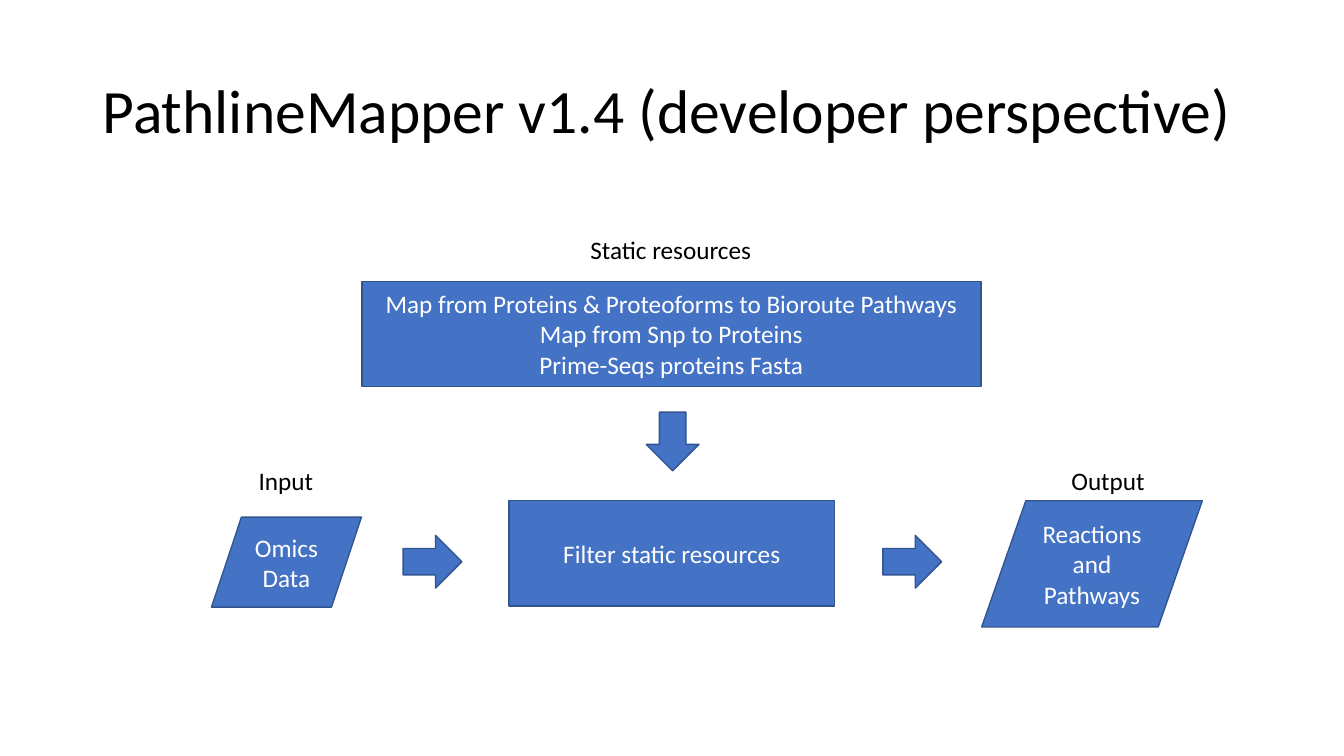
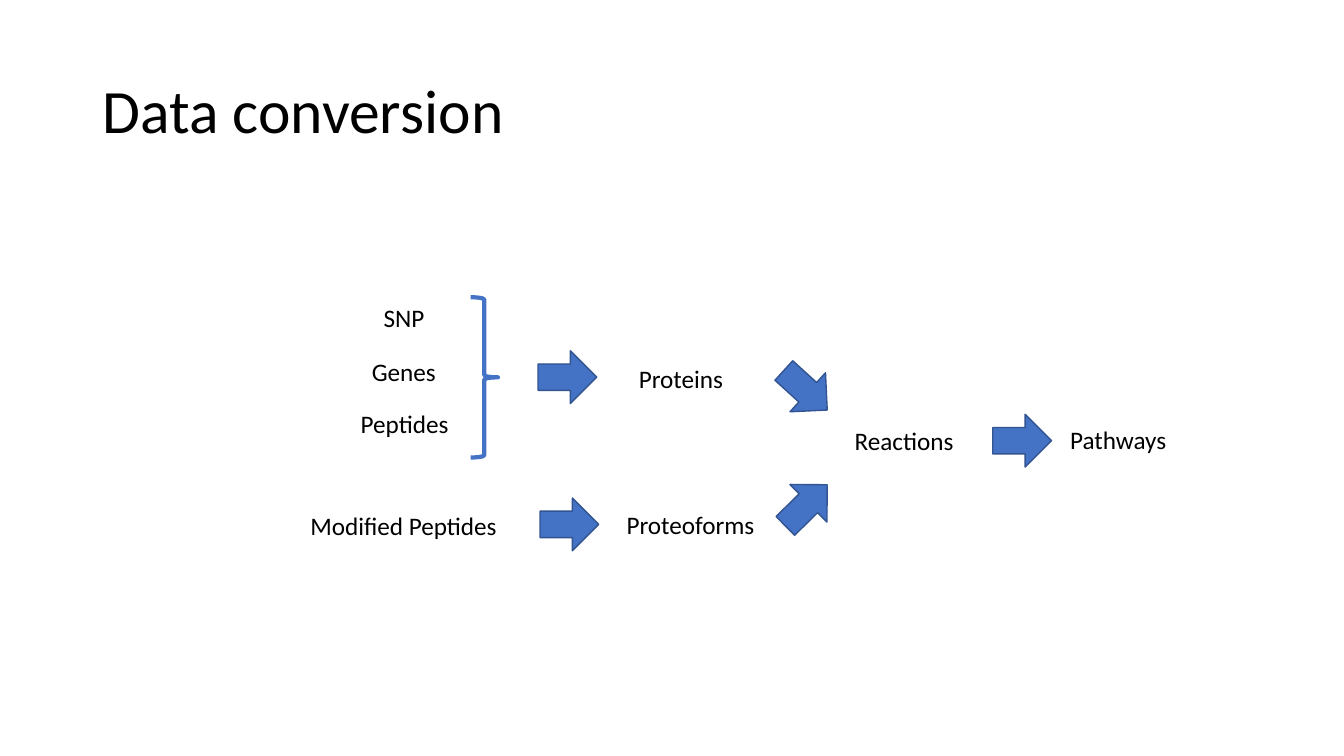
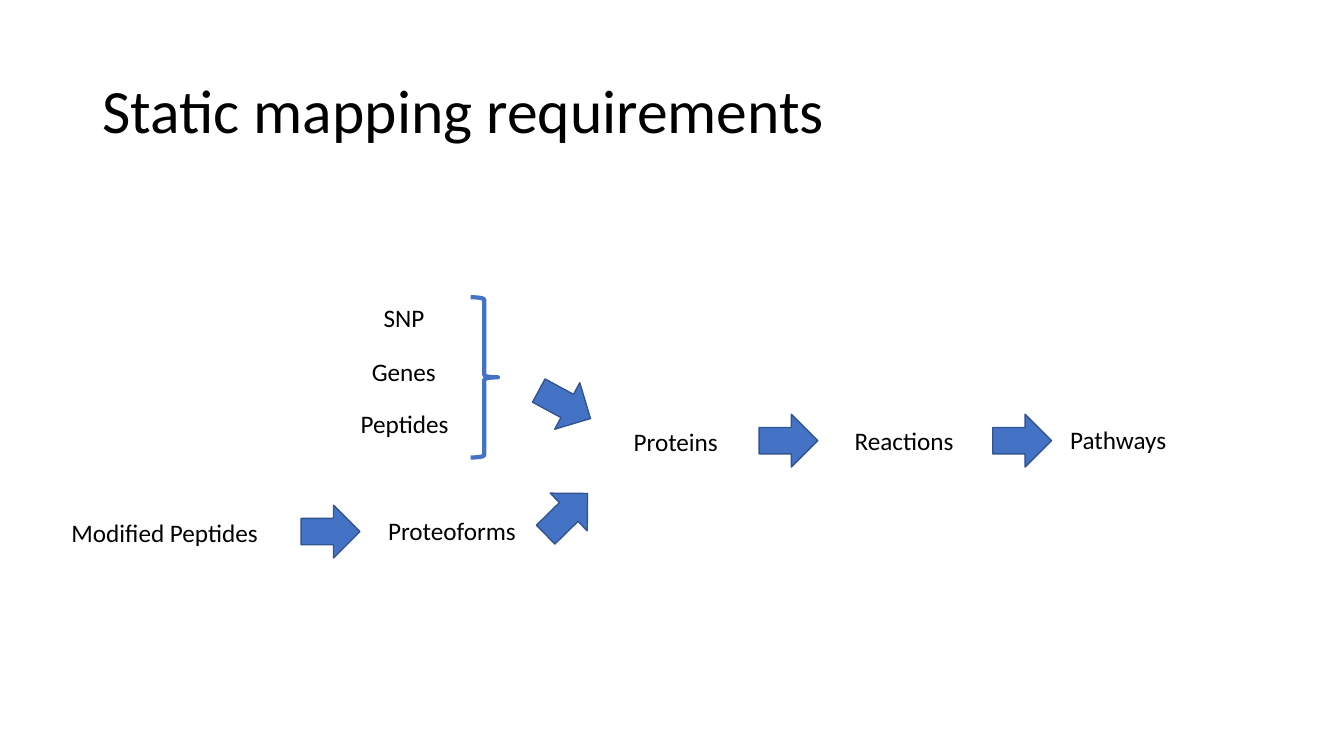
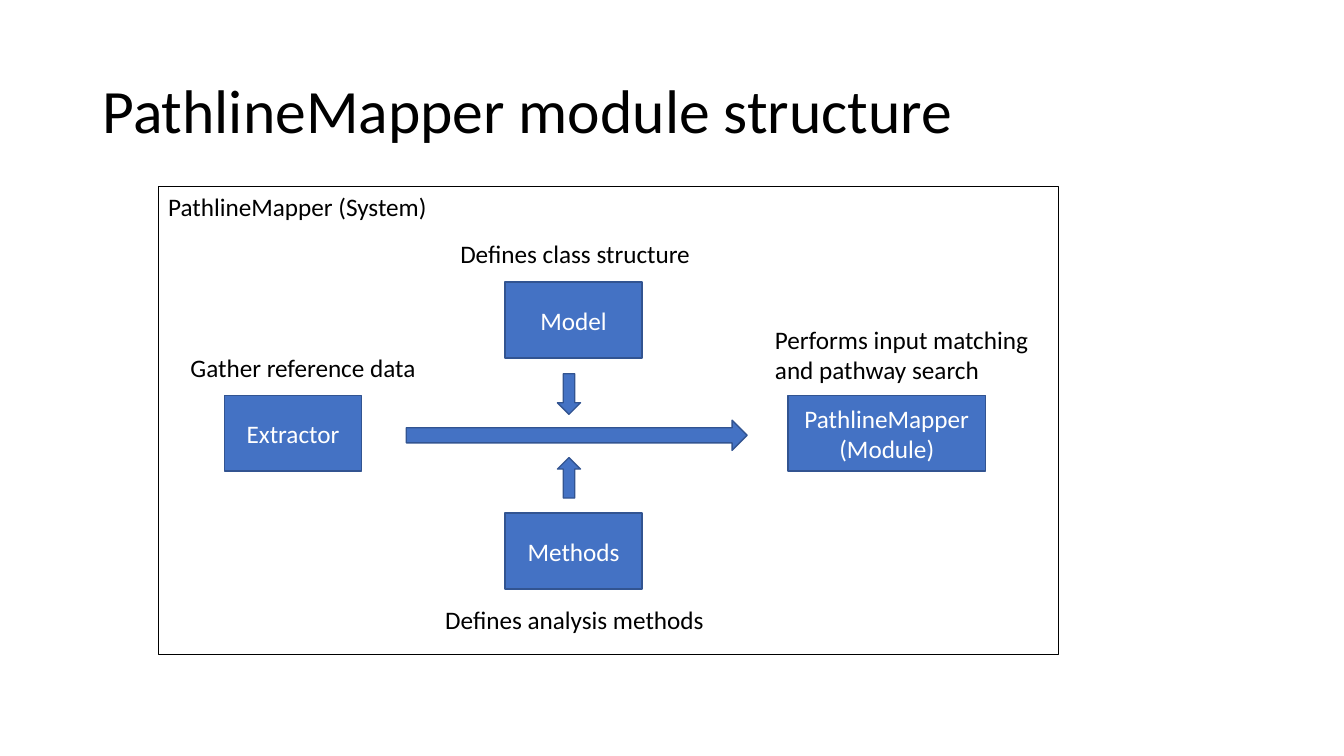
"""Build four slides on the data flow and module structure of PathlineMapper."""
from pptx import Presentation
from pptx.dml.color import RGBColor
from pptx.enum.shapes import MSO_SHAPE as Shape
from pptx.enum.text import MSO_ANCHOR as Anchor, MSO_AUTO_SIZE as AutoSize, PP_ALIGN as Align
from pptx.util import Cm, Pt

FONT = "Calibri"
BLUE, DARK_BLUE, BLACK, WHITE = "4472C4", "325491", "000000", "FFFFFF"
TITLE_PLACE = (2.33, 1.02, 29.21, 3.68)
ARROW_SIZE = (1.48, 1.33)
MODULE_SIZE = (3.45, 1.91)
LABEL_HEIGHT, LINE_HEIGHT = 1.02, 0.78

RIGHT, DOWN, UP = Shape.RIGHT_ARROW, Shape.DOWN_ARROW, Shape.UP_ARROW
DATA, PROCESS, MODULE = Shape.FLOWCHART_DATA, Shape.FLOWCHART_PROCESS, Shape.RECTANGLE

SOURCE_LABELS = [("SNP", 9.42, 7.49, 1.55), ("Genes", 9.12, 8.85, 2.16), ("Peptides", 8.84, 10.16, 2.74)]
RESULT_LABELS = [("Reactions", 21.29, 10.59, 3.05), ("Pathways", 26.72, 10.58, 2.95)]
RESULT_ARROW = (RIGHT, (25.02, 10.44, *ARROW_SIZE), 0)
SOURCE_BRACE = (11.86, 7.49, 0.69, 4.04)
SYSTEM_FRAME = ("PathlineMapper (System)", (3.99, 4.7, 22.68, 11.79))

SLIDES = [
    {
        "title": "PathlineMapper v1.4 (developer perspective)",
        "boxes": [
            (DATA, "Omics Data", (5.33, 13.03, 3.78, 2.27)),
            (PROCESS, "Map from Proteins & Proteoforms to Bioroute Pathways\n"
                      "Map from Snp to Proteins\nPrime-Seqs proteins Fasta", (9.12, 7.09, 15.6, 2.65)),
            (DATA, "Reactions and Pathways", (24.74, 12.62, 5.56, 3.18)),
            (PROCESS, "Filter static resources", (12.83, 12.62, 8.2, 2.65)),
        ],
        "arrows": [
            (RIGHT, (10.16, 13.49, *ARROW_SIZE), 0),
            (RIGHT, (22.25, 13.49, *ARROW_SIZE), 0),
            (RIGHT, (16.21, 10.46, *ARROW_SIZE), 90),
        ],
        "labels": [
            ("Static resources", 14.63, 5.79, 4.6),
            ("Input", 6.27, 11.61, 1.9),
            ("Output", 26.75, 11.61, 2.39),
        ],
    },
    {
        "title": "Data conversion",
        "labels": SOURCE_LABELS + RESULT_LABELS + [
            ("Modified Peptides", 7.57, 12.73, 5.28),
            ("Proteins", 15.85, 9.02, 2.67),
            ("Proteoforms", 15.54, 12.7, 3.76),
        ],
        "arrows": [
            RESULT_ARROW,
            (RIGHT, (19.56, 9.17, *ARROW_SIZE), 42.3),
            (RIGHT, (19.58, 12.07, *ARROW_SIZE), 315.5),
            (RIGHT, (13.56, 8.84, *ARROW_SIZE), 0),
            (RIGHT, (13.61, 12.55, *ARROW_SIZE), 0),
        ],
        "brace": SOURCE_BRACE,
    },
    {
        "title": "Static mapping requirements",
        "labels": SOURCE_LABELS + RESULT_LABELS + [
            ("Modified Peptides", 1.55, 12.9, 5.28),
            ("Proteins", 15.72, 10.62, 2.67),
            ("Proteoforms", 9.53, 12.85, 3.76),
        ],
        "arrows": [
            RESULT_ARROW,
            (RIGHT, (19.13, 10.44, *ARROW_SIZE), 0),
            (RIGHT, (13.54, 12.29, *ARROW_SIZE), 315.5),
            (RIGHT, (13.49, 9.53, *ARROW_SIZE), 28.4),
            (RIGHT, (7.59, 12.73, *ARROW_SIZE), 0),
        ],
        "brace": SOURCE_BRACE,
    },
    {
        "title": "PathlineMapper module structure",
        "frame": SYSTEM_FRAME,
        "boxes": [
            (MODULE, "Extractor", (5.66, 9.96, *MODULE_SIZE)),
            (MODULE, "Model", (12.73, 7.11, *MODULE_SIZE)),
            (MODULE, "Methods", (12.73, 12.93, *MODULE_SIZE)),
            (MODULE, "PathlineMapper\n(Module)", (19.86, 9.96, 4.98, 1.91)),
        ],
        "labels": [
            ("Gather reference data", 4.55, 8.76, 6.25),
            ("Defines analysis methods", 10.97, 15.11, 7.11),
            ("Performs input matching \nand pathway search", 19.28, 8.05, 7.11),
            ("Defines class structure", 11.35, 5.87, 6.38),
        ],
        "arrows": [
            (RIGHT, (10.24, 10.59, 8.59, 0.76), 0),
            (DOWN, (14.05, 9.42, 0.58, 1.02), 0),
            (UP, (14.05, 11.53, 0.58, 1.02), 0),
        ],
    },
]


def color(value):
    return RGBColor.from_string(value)


def lengths(place):
    return [Cm(value) for value in place]


def write(shape, text, size=18, ink=BLACK, align=Align.LEFT, anchor=Anchor.TOP,
          wrap=True, fit=AutoSize.NONE, spacing=None):
    frame = shape.text_frame
    frame.text = text
    frame.word_wrap = wrap
    frame.auto_size = fit
    frame.vertical_anchor = anchor
    for paragraph in frame.paragraphs:
        paragraph.alignment = align
        paragraph.line_spacing = spacing
        for run in paragraph.runs:
            run.font.name = FONT
            run.font.size = Pt(size)
            run.font.color.rgb = color(ink)


def add_shape(slide, kind, place, fill=BLUE, line=DARK_BLUE, line_width=1, rotation=0):
    shape = slide.shapes.add_shape(kind, *lengths(place))
    shape.shadow.inherit = False
    shape.rotation = rotation
    if fill:
        shape.fill.solid()
        shape.fill.fore_color.rgb = color(fill)
    else:
        shape.fill.background()
    shape.line.color.rgb = color(line)
    shape.line.width = Pt(line_width)
    return shape


def add_title(slide, text):
    title = slide.shapes.title
    title.left, title.top, title.width, title.height = lengths(TITLE_PLACE)
    write(title, text, size=44, anchor=Anchor.MIDDLE, spacing=0.9)


def add_label(slide, text, left, top, width):
    height = LABEL_HEIGHT + LINE_HEIGHT * text.count("\n")
    label = slide.shapes.add_textbox(*lengths((left, top, width, height)))
    write(label, text, wrap=False, fit=AutoSize.SHAPE_TO_FIT_TEXT)


def build_slide(presentation, content):
    slide = presentation.slides.add_slide(presentation.slide_layouts[5])
    add_title(slide, content["title"])
    if "frame" in content:
        text, place = content["frame"]
        write(add_shape(slide, Shape.RECTANGLE, place, fill=WHITE, line=BLACK), text)
    for kind, text, place in content.get("boxes", []):
        write(add_shape(slide, kind, place), text, ink=WHITE, align=Align.CENTER, anchor=Anchor.MIDDLE)
    for label in content["labels"]:
        add_label(slide, *label)
    for kind, place, rotation in content["arrows"]:
        add_shape(slide, kind, place, rotation=rotation)
    if "brace" in content:
        add_shape(slide, Shape.RIGHT_BRACE, content["brace"], fill=None, line=BLUE, line_width=3)


def main():
    presentation = Presentation()
    presentation.slide_width, presentation.slide_height = lengths((33.87, 19.05))
    for content in SLIDES:
        build_slide(presentation, content)
    presentation.save("out.pptx")


main()
